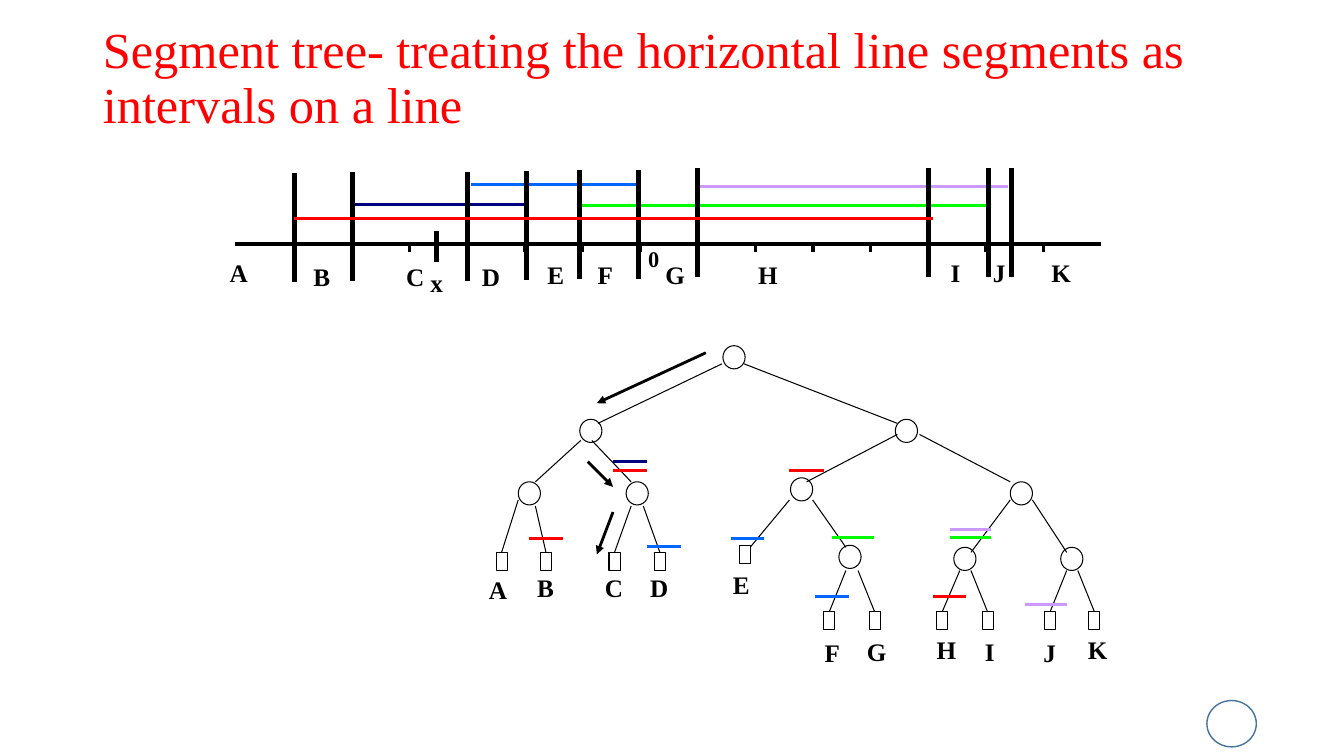
from dataclasses import dataclass

from lxml.etree import SubElement
from pptx import Presentation
from pptx.dml.color import RGBColor
from pptx.enum.shapes import MSO_CONNECTOR, MSO_SHAPE
from pptx.enum.text import MSO_ANCHOR, MSO_AUTO_SIZE, PP_ALIGN
from pptx.oxml.ns import qn
from pptx.util import Inches, Pt


@dataclass(frozen=True)
class Theme:
    font: str = "Times New Roman"
    black: str = "000000"
    red: str = "FF0000"
    green: str = "00FF00"
    violet: str = "CC99FF"
    navy: str = "000080"
    blue: str = "0066FF"
    badge: str = "43739E"
    title_size: float = 36
    label_size: float = 18
    zero_size: float = 16
    edge: float = 0.75
    segment: float = 2
    axis: float = 2.5
    query: float = 3
    boundary: float = 3.5


THEME = Theme()

TITLE = "Segment tree- treating the horizontal line segments as intervals on a line"

# Number line: (left, right, y, colour), (x, top), (label, left, top)
SEGMENTS = [
    (5.75, 9.83, 2.04, THEME.green),
    (6.92, 10, 1.85, THEME.violet),
    (3.5, 5.25, 2.03, THEME.navy),
    (4.67, 6.33, 1.83, THEME.blue),
]
LONG_SEGMENT = (2.92, 9.25, 2.17, THEME.red)
BOUNDARIES = [
    (2.92, 1.72), (3.5, 1.71), (4.64, 1.71), (5.22, 1.7), (5.75, 1.69),
    (6.33, 1.69), (6.92, 1.67), (9.21, 1.67), (9.8, 1.67), (10.03, 1.67),
]
BOUNDARY_HEIGHT = 1.08
AXIS_LEFT, AXIS_RIGHT, AXIS_Y = 2.33, 10.92, 2.42
FIRST_TICK, LAST_TICK, TICK_COUNT, TICK_HEIGHT = 2.92, 10.35, 14, 0.08
INTERVAL_LABELS = [
    ("A", 2.18, 2.5), ("B", 3.01, 2.54), ("C", 3.93, 2.54), ("D", 4.68, 2.54),
    ("E", 5.33, 2.52), ("F", 5.83, 2.52), ("G", 6.5, 2.52), ("H", 7.42, 2.52),
    ("I", 9.33, 2.5), ("J", 9.75, 2.5), ("K", 10.33, 2.5), ("x", 4.17, 2.6),
]
QUERY_MARK = (4.33, 2.29, 4.33, 2.6)

# Tree: node corners, edges between nodes, leaves, marks and search path
NODE_SIZE = (0.22, 0.23)
NODES = [
    (7.17, 3.43), (5.75, 4.16), (8.88, 4.16), (5.14, 4.78), (6.21, 4.78),
    (7.84, 4.74), (10.02, 4.78), (8.32, 5.41), (9.46, 5.43), (10.52, 5.43),
]
EDGES = [
    (7.16, 3.61, 5.93, 4.2), (7.38, 3.61, 8.9, 4.2),
    (5.76, 4.37, 5.31, 4.78), (5.87, 4.37, 6.26, 4.78),
    (8.9, 4.31, 8, 4.78), (9.12, 4.31, 10.02, 4.78),
    (7.83, 4.96, 7.44, 5.43), (8.06, 4.96, 8.39, 5.43),
    (10.02, 4.96, 9.63, 5.48), (10.24, 4.96, 10.58, 5.48),
]
LEAF_SIZE = (0.11, 0.18)
# (label, leaf corner, start of its edge, label corner, label width)
LEAVES = [
    ("A", (4.92, 5.48), (5.14, 4.96), (4.75, 5.65), 0.38),
    ("B", (5.36, 5.48), (5.31, 5.02), (5.23, 5.63), 0.37),
    ("C", (6.04, 5.48), (6.26, 5.02), (5.9, 5.63), 0.38),
    ("D", (6.49, 5.48), (6.38, 5.02), (6.35, 5.63), 0.38),
    ("E", (7.33, 5.41), None, (7.17, 5.6), 0.37),
    ("F", (8.17, 6.07), (8.39, 5.66), (8.08, 6.27), 0.35),
    ("G", (8.62, 6.07), (8.51, 5.66), (8.5, 6.26), 0.4),
    ("H", (9.29, 6.07), (9.52, 5.66), (9.19, 6.24), 0.4),
    ("I", (9.74, 6.07), (9.63, 5.66), (9.67, 6.26), 0.3),
    ("J", (10.36, 6.07), (10.58, 5.66), (10.25, 6.27), 0.33),
    ("K", (10.8, 6.07), (10.69, 5.66), (10.69, 6.24), 0.4),
]
TREE_MARKS = [
    (6.42, 6.75, 5.42, THEME.blue), (7.25, 7.58, 5.34, THEME.blue),
    (8.08, 8.42, 5.92, THEME.blue), (5.25, 5.58, 5.34, THEME.red),
    (6.08, 6.42, 4.67, THEME.red), (7.83, 8.17, 4.67, THEME.red),
    (9.25, 9.58, 5.92, THEME.red), (6.08, 6.42, 4.58, THEME.navy),
    (8.25, 8.67, 5.33, THEME.green), (9.42, 9.83, 5.33, THEME.green),
    (9.42, 9.83, 5.25, THEME.violet), (10.17, 10.58, 6, THEME.violet),
]
SEARCH_PATH = [
    (7, 3.5, 5.92, 4), (5.83, 4.58, 6.08, 4.83), (6.08, 5.08, 5.92, 5.5),
]


def style_run(paragraph, size, color, bold=False):
    font = paragraph.runs[0].font
    font.name, font.size, font.bold = THEME.font, Pt(size), bold
    font.color.rgb = RGBColor.from_string(color)


def add_line(slide, ends, width, color=THEME.black, arrow=False):
    line = slide.shapes.add_connector(MSO_CONNECTOR.STRAIGHT, *map(Inches, ends))
    line.line.width = Pt(width)
    line.line.color.rgb = RGBColor.from_string(color)
    if arrow:
        SubElement(line.line._get_or_add_ln(), qn("a:tailEnd"), type="triangle")
    SubElement(line._element.spPr, qn("a:effectLst"))
    return line


def add_interval(slide, left, right, y, color):
    add_line(slide, (left, y, right, y), THEME.segment, color)


def add_outline(slide, kind, corner, size, color=THEME.black, width=THEME.edge):
    outline = slide.shapes.add_shape(kind, *map(Inches, (*corner, *size)))
    outline.shadow.inherit = False
    outline.fill.background()
    outline.line.color.rgb = RGBColor.from_string(color)
    outline.line.width = Pt(width)
    return outline


def add_label(slide, label, corner, width=0.42, height=0.4, size=THEME.label_size, wrap=True):
    box = slide.shapes.add_textbox(*map(Inches, (*corner, width, height)))
    box.text_frame.word_wrap = wrap
    box.text_frame.auto_size = MSO_AUTO_SIZE.SHAPE_TO_FIT_TEXT
    box.text_frame.text = label
    style_run(box.text_frame.paragraphs[0], size, THEME.black, bold=True)
    return box


def add_title(slide):
    title = slide.shapes.title
    title.left, title.top, title.width, title.height = map(Inches, (0.92, 0.4, 11.5, 1.45))
    frame = title.text_frame
    frame.text = TITLE
    frame.word_wrap = True
    frame.auto_size = MSO_AUTO_SIZE.NONE
    frame.vertical_anchor = MSO_ANCHOR.MIDDLE
    frame.margin_top, frame.margin_bottom = Inches(0), Inches(0.67)
    heading = frame.paragraphs[0]
    heading.alignment = PP_ALIGN.LEFT
    heading.line_spacing = 0.9
    style_run(heading, THEME.title_size, THEME.red)


def add_number_line(slide):
    for segment in SEGMENTS:
        add_interval(slide, *segment)
    for x, top in BOUNDARIES:
        add_line(slide, (x, top, x, top + BOUNDARY_HEIGHT), THEME.boundary)
    add_label(slide, "0", (6.33, 2.38), 0.31, 0.37, THEME.zero_size, wrap=False)
    for label, *corner in INTERVAL_LABELS:
        add_label(slide, label, corner)
    add_line(slide, (AXIS_LEFT, AXIS_Y, AXIS_RIGHT, AXIS_Y), THEME.axis)
    tick_gap = (LAST_TICK - FIRST_TICK) / (TICK_COUNT - 1)
    for i in range(TICK_COUNT):
        x = FIRST_TICK + i * tick_gap
        add_line(slide, (x, AXIS_Y, x, AXIS_Y + TICK_HEIGHT), THEME.axis)
    add_interval(slide, *LONG_SEGMENT)
    add_line(slide, QUERY_MARK, THEME.query)


def add_tree(slide):
    for node in NODES:
        add_outline(slide, MSO_SHAPE.OVAL, node, NODE_SIZE)
    for edge in EDGES:
        add_line(slide, edge, THEME.edge)
    for label, corner, edge_start, label_corner, label_width in LEAVES:
        leaf = add_outline(slide, MSO_SHAPE.RECTANGLE, corner, LEAF_SIZE)
        if edge_start:
            add_line(slide, (*edge_start, *corner), THEME.edge).end_connect(leaf, 0)
        add_label(slide, label, label_corner, label_width, wrap=False).rotation = 359.8
    for mark in TREE_MARKS:
        add_interval(slide, *mark)
    for step in SEARCH_PATH:
        add_line(slide, step, THEME.segment, arrow=True)


def main():
    deck = Presentation()
    deck.slide_width, deck.slide_height = Inches(13.33), Inches(7.5)
    slide = deck.slides.add_slide(deck.slide_layouts[5])
    add_outline(slide, MSO_SHAPE.OVAL, (11.97, 6.95), (0.49, 0.46), THEME.badge, 1)
    add_title(slide)
    add_number_line(slide)
    add_tree(slide)
    deck.save("out.pptx")


if __name__ == "__main__":
    main()
